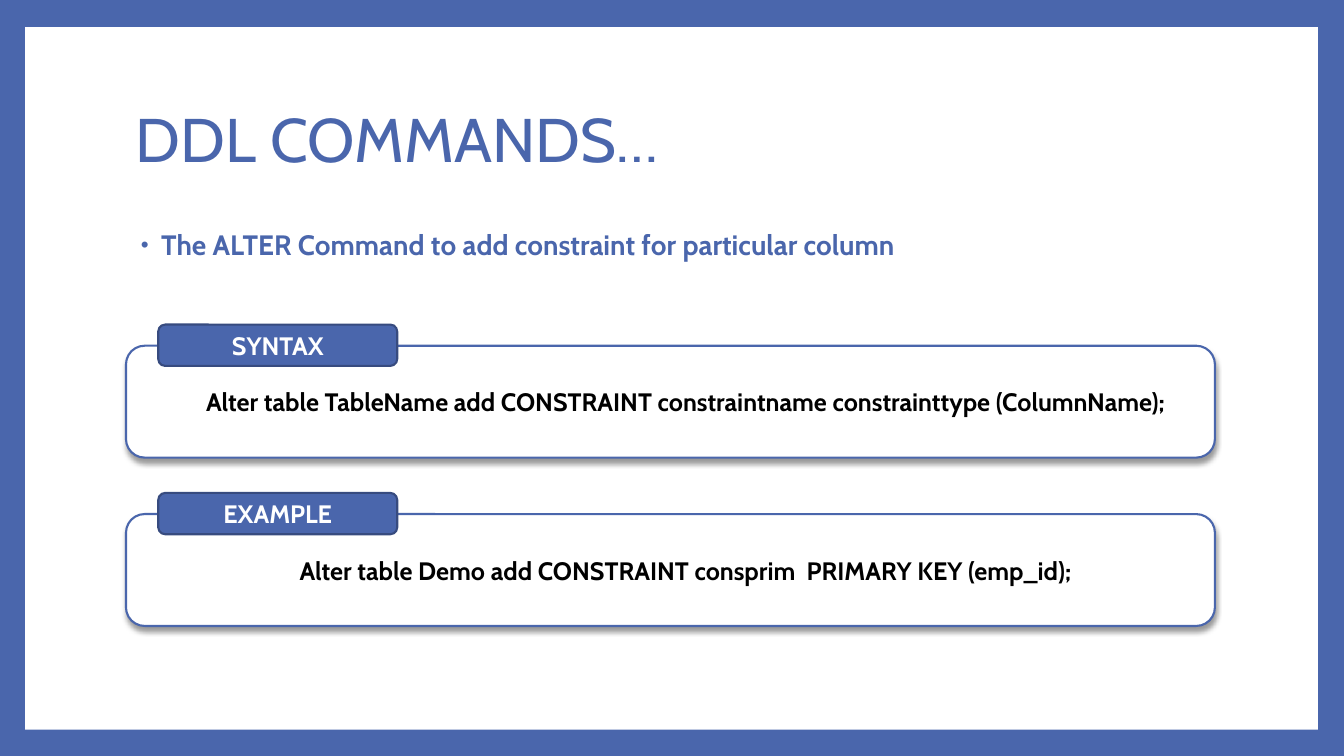
from pptx import Presentation
from pptx.dml.color import RGBColor
from pptx.enum.shapes import MSO_SHAPE
from pptx.enum.text import MSO_ANCHOR, PP_ALIGN
from pptx.oxml import parse_xml
from pptx.oxml.ns import nsdecls, qn
from pptx.util import Inches, Pt

BLUE, NAVY, WHITE, BLACK = "4A66AC", "374B7F", "FFFFFF", "000000"
LEFT, WIDTH = 1.25, 10.8


def color(value):
    return RGBColor.from_string(value)


class SlideBuilder:
    font = "Cabin"

    def __init__(self, slide):
        self.slide = slide

    def background(self, value):
        fill = self.slide.background.fill
        fill.solid()
        fill.fore_color.rgb = color(value)

    def set_text(self, shape, text, size, text_color, bold=True,
                 align=PP_ALIGN.LEFT, anchor=MSO_ANCHOR.MIDDLE):
        text_frame = shape.text_frame
        text_frame.word_wrap = True
        text_frame.vertical_anchor = anchor
        text_frame.text = text
        paragraph = text_frame.paragraphs[0]
        paragraph.alignment = align
        font = paragraph.runs[0].font
        font.name, font.size, font.bold = self.font, Pt(size), bold
        font.color.rgb = color(text_color)
        return paragraph

    def text(self, left, top, width, height, text, size, **style):
        shape = self.slide.shapes.add_textbox(
            Inches(left), Inches(top), Inches(width), Inches(height))
        paragraph = self.set_text(shape, text, size, BLUE, **style)
        paragraph.line_spacing = 0.9
        return paragraph

    def bullet(self, paragraph, margin, indent):
        properties = paragraph._p.get_or_add_pPr()
        properties.set("marL", str(Inches(margin)))
        properties.set("indent", str(Inches(indent)))
        for element in (f'<a:buClr {nsdecls("a")}><a:srgbClr val="{BLUE}"/></a:buClr>',
                        f'<a:buSzPct {nsdecls("a")} val="80000"/>',
                        f'<a:buFont {nsdecls("a")} typeface="Arial"/>',
                        f'<a:buChar {nsdecls("a")} char="•"/>'):
            properties.append(parse_xml(element))

    def box(self, kind, left, top, width, height, fill, line=None):
        shape = self.slide.shapes.add_shape(
            kind, Inches(left), Inches(top), Inches(width), Inches(height))
        shape.shadow.inherit = False
        shape.fill.solid()
        shape.fill.fore_color.rgb = color(fill)
        if line:
            shape.line.color.rgb = color(line)
            shape.line.width = Pt(1.5)
        else:
            shape.line.fill.background()
        return shape

    def drop_shadow(self, shape):
        effects = shape._element.spPr.find(qn("a:effectLst"))
        effects.append(parse_xml(
            f'<a:outerShdw {nsdecls("a")} blurRad="{Pt(4)}" dist="{Pt(3)}" '
            f'dir="5400000" rotWithShape="0"><a:srgbClr val="{BLACK}">'
            '<a:alpha val="40000"/></a:srgbClr></a:outerShdw>'))

    def code_panel(self, top, label, code):
        panel = self.box(MSO_SHAPE.ROUNDED_RECTANGLE, LEFT, top, WIDTH, 1.11, WHITE, BLUE)
        self.drop_shadow(panel)
        paragraph = self.set_text(panel, code, 18, BLACK, align=PP_ALIGN.CENTER)
        paragraph._p.get_or_add_pPr().set("marL", str(Inches(0.3)))
        tab = self.box(MSO_SHAPE.ROUNDED_RECTANGLE, LEFT + 0.32, top - 0.21,
                       2.37, 0.41, BLUE, NAVY)
        self.set_text(tab, label, 18, WHITE, align=PP_ALIGN.CENTER)


def main():
    presentation = Presentation()
    presentation.slide_width, presentation.slide_height = Inches(13.33), Inches(7.5)
    builder = SlideBuilder(presentation.slides.add_slide(presentation.slide_layouts[6]))

    # Blue frame around a white page
    builder.background(BLUE)
    builder.box(MSO_SHAPE.RECTANGLE, 0.25, 0.27, 12.82, 6.97, WHITE)

    # Title and topic
    builder.text(LEFT, 0.67, WIDTH, 1.48, "DDL COMMANDS…", 44, bold=False)
    topic = builder.text(LEFT, 2.25, WIDTH, 0.66,
                         "The ALTER Command to add constraint for particular column",
                         20, anchor=MSO_ANCHOR.TOP)
    builder.bullet(topic, 0.25, -0.2)

    # Labelled code panels
    panels = [
        ("SYNTAX", "Alter table TableName add CONSTRAINT constraintname "
                   "constrainttype (ColumnName);"),
        ("EXAMPLE", "Alter table Demo add CONSTRAINT consprim  PRIMARY KEY (emp_id);"),
    ]
    for index, (label, code) in enumerate(panels):
        builder.code_panel(3.43 + index * 1.67, label, code)

    presentation.save("out.pptx")


if __name__ == "__main__":
    main()
